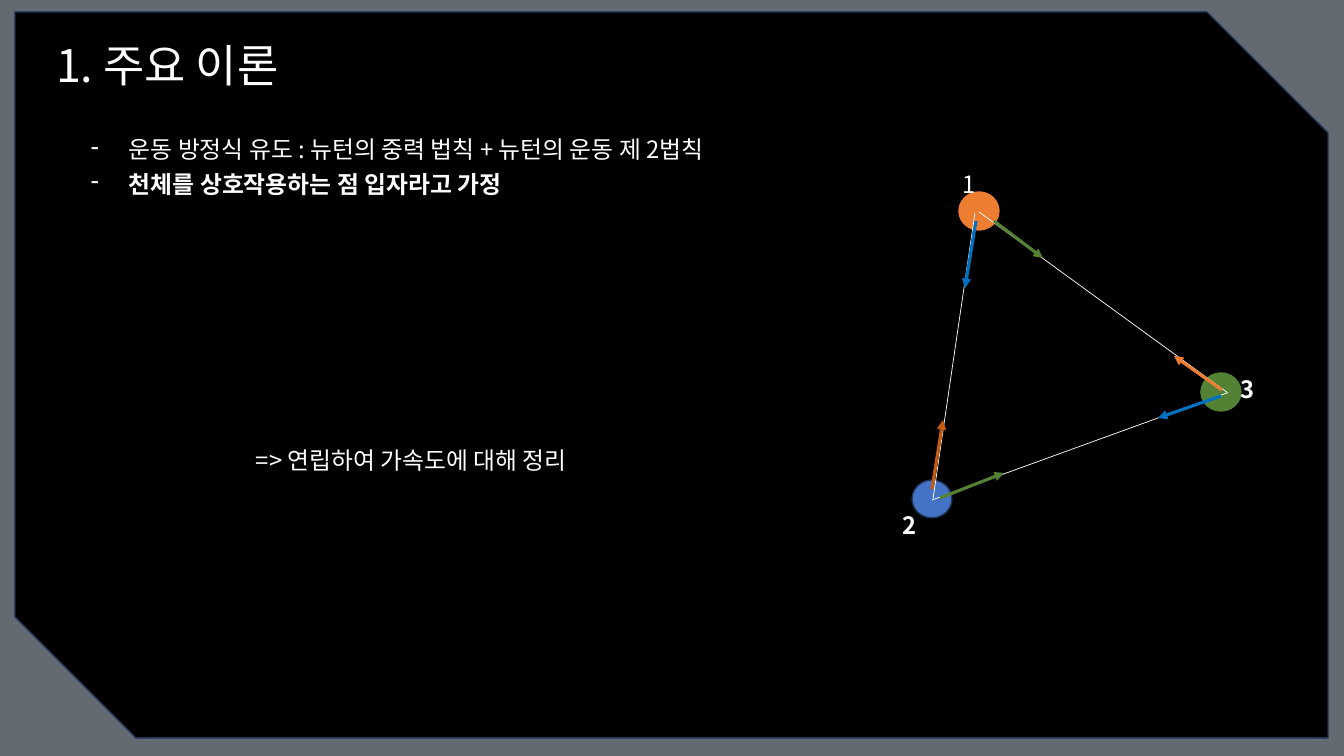
"""Build the slide on the main theory of the three-body problem."""
import pptx
import pptx.dml.color
import pptx.enum.dml
import pptx.enum.shapes
import pptx.enum.text
import pptx.oxml.ns
import pptx.util
from lxml import etree

PX = 914400 / 100.8
FONT = "Noto Sans CJK KR"
WHITE, NAVY, ORANGE = "FFFFFF", "1E3256", "ED7D31"
GREEN, BLUE = "548235", "0070C0"
LEFT = pptx.enum.text.PP_ALIGN.LEFT
CENTER = pptx.enum.text.PP_ALIGN.CENTER
SHAPES = pptx.enum.shapes.MSO_SHAPE
qn = pptx.oxml.ns.qn


def paint(color_format, color):
    color_format.rgb = pptx.dml.color.RGBColor.from_string(color)


def write(shape, lines, size, spacing=0.9, alignment=LEFT, bullet=None):
    frame = shape.text_frame
    frame.word_wrap = True
    frame.auto_size = pptx.enum.text.MSO_AUTO_SIZE.NONE
    frame.vertical_anchor = pptx.enum.text.MSO_ANCHOR.TOP
    for index, (text, bold) in enumerate(lines):
        paragraph = frame.add_paragraph() if index else frame.paragraphs[0]
        paragraph.alignment = alignment
        paragraph.line_spacing = spacing
        paragraph.space_before = pptx.util.Pt(6.5 if index else 0)
        if bullet:
            properties = paragraph._p.get_or_add_pPr()
            properties.set("marL", str(round(38 * PX)))
            properties.set("indent", str(round(-38 * PX)))
            etree.SubElement(properties, qn("a:buFontTx"))
            etree.SubElement(properties, qn("a:buChar"), char=bullet)
        run = paragraph.add_run()
        run.text = text
        run.font.size = pptx.util.Pt(size)
        run.font.bold = bold
        run.font.name = FONT
        paint(run.font.fill.fore_color if run.font.fill.solid() else run.font.color, WHITE)
        etree.SubElement(run.font._element, qn("a:ea"), typeface=FONT)


presentation = pptx.Presentation()
presentation.slide_width = round(1344 * PX)
presentation.slide_height = round(756 * PX)
slide = presentation.slides.add_slide(presentation.slide_layouts[5])
slide.background.fill.solid()
paint(slide.background.fill.fore_color, "646A72")

title = slide.shapes.title
title.left, title.top, title.width, title.height = [round(n * PX) for n in (46, 39, 352, 134)]
write(title, [("1. 주요 이론", False)], 32)

panel_and_bodies = [
    (SHAPES.SNIP_2_DIAG_RECTANGLE, (15, 12, 1313, 726), "000000", NAVY),
    (SHAPES.OVAL, (959, 192, 40, 38), ORANGE, ORANGE),
    (SHAPES.OVAL, (1201, 373, 40, 38), GREEN, GREEN),
    (SHAPES.OVAL, (912, 480, 40, 38), "4472C4", NAVY),
]
for preset, box, fill, outline in panel_and_bodies:
    shape = slide.shapes.add_shape(preset, *[round(n * PX) for n in box])
    shape.shadow.inherit = False
    shape.fill.solid()
    paint(shape.fill.fore_color, fill)
    paint(shape.line.color, outline)
    shape.line.width = pptx.util.Pt(1)
    if preset == SHAPES.SNIP_2_DIAG_RECTANGLE:
        title.element.addprevious(shape.element)

theory = [
    ("운동 방정식 유도 : 뉴턴의 중력 법칙 + 뉴턴의 운동 제 2법칙", False),
    ("천체를 상호작용하는 점 입자라고 가정", True),
]
conclusion = [("=> 연립하여 가속도에 대해 정리", False)]
texts = [
    ((81, 133, 728, 134), theory, 0.9, LEFT, "-"),
    ((222, 444, 379, 134), conclusion, 0.9, CENTER, None),
    ((953, 170, 40, 35), [("1", False)], 0.8, LEFT, None),
    ((893, 511, 40, 35), [("2", True)], 0.8, LEFT, None),
    ((1231, 375, 40, 35), [("3", True)], 0.8, LEFT, None),
]
for box, lines, spacing, alignment, bullet in texts:
    textbox = slide.shapes.add_textbox(*[round(n * PX) for n in box])
    write(textbox, lines, 17, spacing, alignment, bullet)

sides_and_forces = [
    ((932, 500, 1227, 393), WHITE),
    ((979, 212, 1228, 393), WHITE),
    ((940, 498, 1004, 473), GREEN),
    ((1221, 396, 1158, 418), BLUE),
    ((994, 221, 1043, 258), GREEN),
    ((1222, 390, 1174, 356), ORANGE),
    ((975, 213, 933, 499), WHITE),
    ((932, 489, 943, 420), "C55A11"),
    ((976, 221, 965, 288), BLUE),
]
for ends, color in sides_and_forces:
    connector = slide.shapes.add_connector(
        pptx.enum.shapes.MSO_CONNECTOR.STRAIGHT, *[round(n * PX) for n in ends])
    paint(connector.line.color, color)
    connector.line.width = pptx.util.Pt(0.5 if color == WHITE else 2.25)
    if color != WHITE:
        etree.SubElement(connector.line._get_or_add_ln(), qn("a:tailEnd"), type="triangle")
    etree.SubElement(connector._element.spPr, qn("a:effectLst"))

presentation.save("out.pptx")
